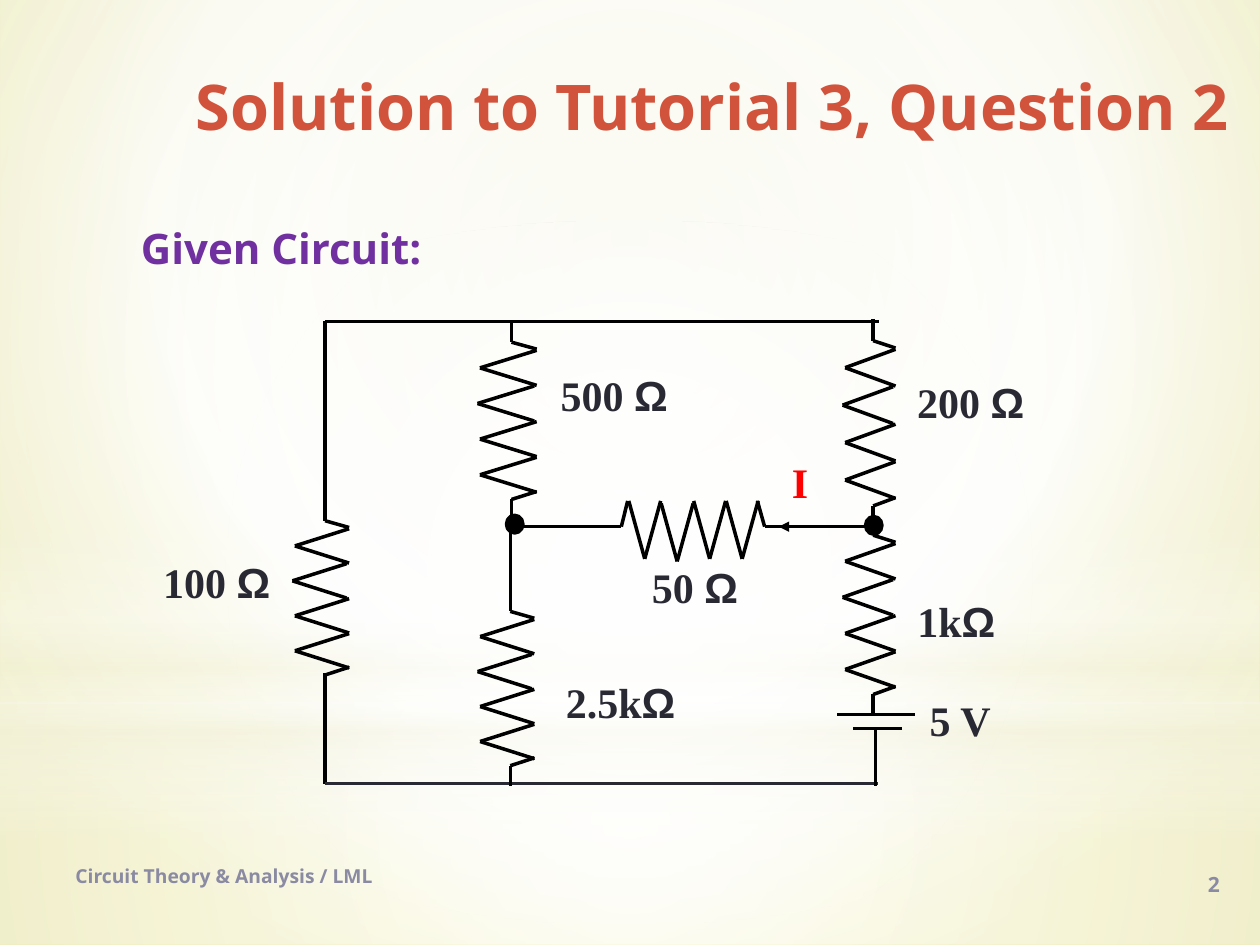
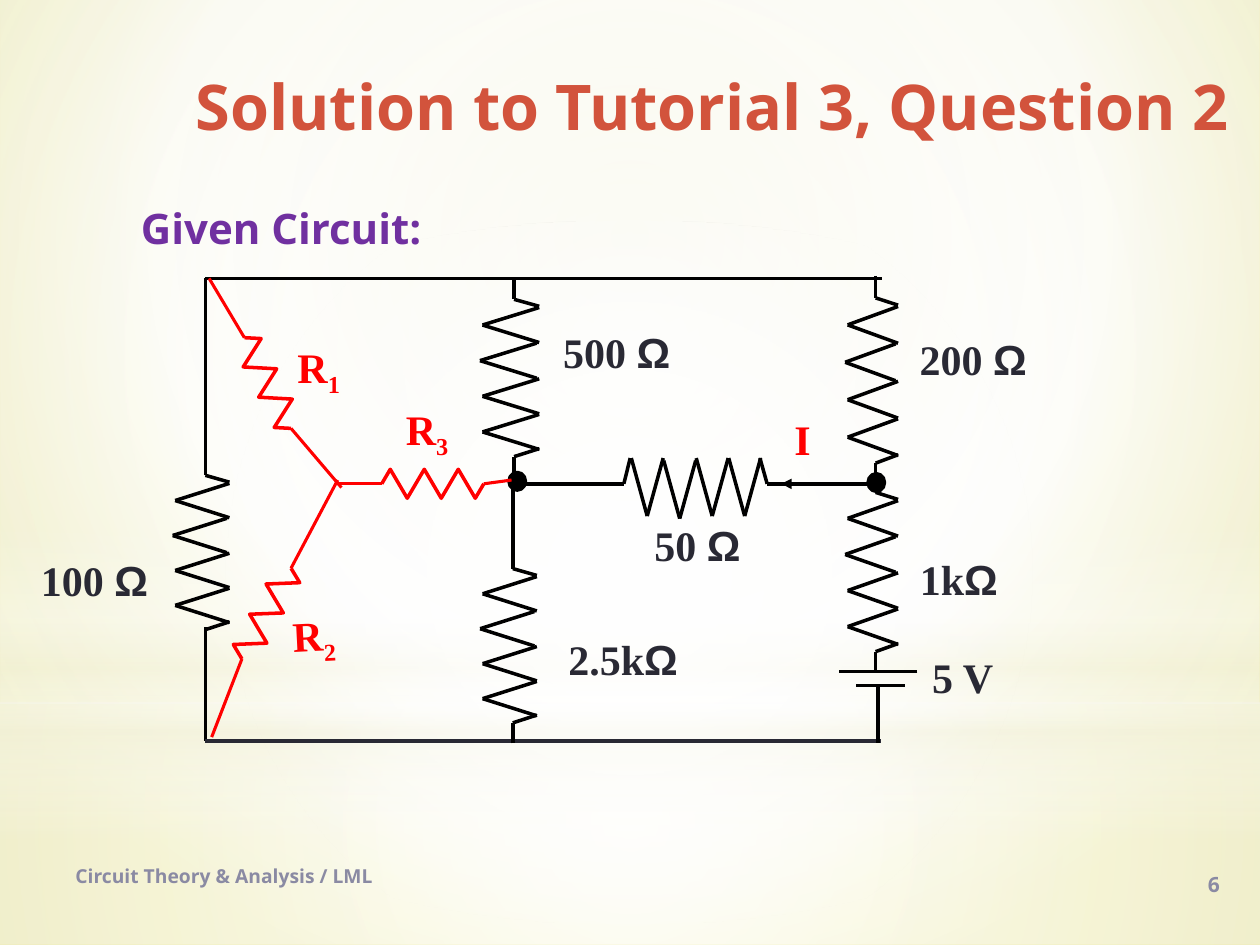
from dataclasses import dataclass
from math import hypot

from pptx import Presentation
from pptx.dml.color import RGBColor
from pptx.enum.shapes import MSO_CONNECTOR, MSO_SHAPE
from pptx.enum.text import MSO_ANCHOR, PP_ALIGN
from pptx.oxml import parse_xml
from pptx.oxml.ns import nsdecls, qn
from pptx.slide import Slide
from pptx.util import Inches, Pt

BLACK = RGBColor(0x00, 0x00, 0x00)
RED = RGBColor(0xFF, 0x00, 0x00)
INK = RGBColor(0x29, 0x29, 0x34)
TITLE_RED = RGBColor(0xD2, 0x53, 0x3C)
PURPLE = RGBColor(0x70, 0x30, 0xA0)
GREY = RGBColor(0x8A, 0x8A, 0xA3)
WHITE = RGBColor(0xFF, 0xFF, 0xFF)
CREAM = RGBColor(0xF3, 0xF2, 0xDC)
PALE_YELLOW = RGBColor(0xEF, 0xED, 0xCC)
YELLOW = RGBColor(0xE9, 0xE5, 0x8A)

HEADING_FONT, LABEL_FONT, OMEGA_FONT = "Open Sans", "Times New Roman", "Arial"
CENTRE = (50, 50, 50, 50)

# Gradient stops are (position %, colour, opacity %).
BACKDROP_STOPS = [(0, PALE_YELLOW, 100), (60, WHITE, 100), (100, YELLOW, 100)]
GLOWS = [
    (MSO_SHAPE.RECTANGLE, (0, 5.58, 10, 1.92), CENTRE,
     [(0, WHITE, 91), (37, WHITE, 76), (100, CREAM, 79)]),
    (MSO_SHAPE.RECTANGLE, (0, 0, 10, 5.58), CENTRE,
     [(0, WHITE, 89), (48, WHITE, 62), (100, CREAM, 79)]),
    (MSO_SHAPE.RECTANGLE, (0, 4.17, 10, 2.5), None,
     [(0, WHITE, 0), (29, WHITE, 30), (45, CREAM, 40), (55, WHITE, 26),
      (65, CREAM, 60), (100, WHITE, 0)]),
    (MSO_SHAPE.OVAL, (0, 1.75, 10, 5.58), CENTRE,
     [(0, WHITE, 100), (56, WHITE, 0)]),
]


def set_gradient(properties, stops, focus):
    """Replace a solid fill by a radial gradient, or a vertical one without focus."""
    stop_xml = "".join(
        f'<a:gs pos="{position * 1000}"><a:srgbClr val="{color}">'
        f'<a:alpha val="{opacity * 1000}"/></a:srgbClr></a:gs>'
        for position, color, opacity in stops)
    if focus:
        sides = " ".join(f'{side}="{value * 1000}"' for side, value in zip("ltrb", focus))
        direction = f'<a:path path="circle"><a:fillToRect {sides}/></a:path>'
    else:
        direction = '<a:lin ang="5400000" scaled="0"/>'
    gradient = parse_xml(f'<a:gradFill {nsdecls("a")} rotWithShape="1">'
                         f'<a:gsLst>{stop_xml}</a:gsLst>{direction}</a:gradFill>')
    properties.replace(properties.find(qn("a:solidFill")), gradient)


def add_text(slide, box, runs, size, color, align=PP_ALIGN.LEFT,
             anchor=MSO_ANCHOR.TOP, margins=True, rotation=0):
    """Add one line of bold text from (text, font, baseline %) runs."""
    shape = slide.shapes.add_textbox(*map(Inches, box))
    shape.rotation = rotation
    frame = shape.text_frame
    frame.word_wrap = True
    frame.vertical_anchor = anchor
    if not margins:
        frame.margin_left = frame.margin_right = frame.margin_top = frame.margin_bottom = 0
    paragraph = frame.paragraphs[0]
    paragraph.alignment = align
    for text, font_name, baseline in runs:
        run = paragraph.add_run()
        run.text = text
        run.font.name = font_name
        run.font.size = Pt(size)
        run.font.bold = True
        run.font.color.rgb = color
        if baseline:
            run.font._element.set("baseline", str(baseline * 1000))


def add_heading(slide, box, text, size, color, **options):
    add_text(slide, box, [(text, HEADING_FONT, 0)], size, color, **options)


def add_base_slide(presentation, number, subtitle_top):
    slide = presentation.slides.add_slide(presentation.slide_layouts[6])
    slide.background.fill.solid()
    set_gradient(slide.element.find(".//" + qn("p:bgPr")), BACKDROP_STOPS, (20, 10, 20, 60))
    for kind, box, focus, stops in GLOWS:
        shape = slide.shapes.add_shape(kind, *map(Inches, box))
        shape.shadow.inherit = False
        shape.line.fill.background()
        shape.fill.solid()
        set_gradient(shape.element.spPr, stops, focus)
    add_heading(slide, (1.35, 0.49, 8.5, 0.92), "Solution to Tutorial 3, Question 2",
                36, TITLE_RED, align=PP_ALIGN.RIGHT)
    add_heading(slide, (1.02, subtitle_top, 2.72, 0.5), "Given Circuit:", 24, PURPLE)
    add_heading(slide, (0.5, 6.75, 3.67, 0.4), "Circuit Theory & Analysis / LML",
                11, GREY, anchor=MSO_ANCHOR.MIDDLE)
    add_heading(slide, (7.78, 6.82, 2, 0.4), str(number), 12, GREY,
                align=PP_ALIGN.RIGHT, anchor=MSO_ANCHOR.MIDDLE)
    return slide


@dataclass
class Board:
    """A slide on which a circuit is drawn, moved by dx and dy inches."""
    slide: Slide
    dx: float = 0
    dy: float = 0

    def place(self, x, y):
        return Inches(x + self.dx), Inches(y + self.dy)

    def wire(self, start, end, color=BLACK, width=2, arrow=False):
        connector = self.slide.shapes.add_connector(
            MSO_CONNECTOR.STRAIGHT, *self.place(*start), *self.place(*end))
        connector.line.color.rgb = color
        connector.line.width = Pt(width)
        if arrow:
            connector.line._get_or_add_ln().append(
                parse_xml(f'<a:tailEnd {nsdecls("a")} type="triangle"/>'))
        connector.element.spPr.append(parse_xml(f'<a:effectLst {nsdecls("a")}/>'))

    def label(self, box, text, color=INK, subscript="", rotation=0):
        left, top, width, height = box
        runs = [(text.rstrip("Ω"), LABEL_FONT, 0)]
        if text.endswith("Ω"):
            runs.append(("Ω", OMEGA_FONT, 0))
        if subscript:
            runs.append((subscript, LABEL_FONT, -25))
        add_text(self.slide, (left + self.dx, top + self.dy, width, height), runs, 24,
                 color, align=PP_ALIGN.CENTER, margins=False, rotation=rotation)

    def node(self, left, top):
        dot = self.slide.shapes.add_shape(
            MSO_SHAPE.OVAL, *self.place(left, top), Inches(0.13), Inches(0.14))
        dot.shadow.inherit = False
        dot.fill.solid()
        dot.fill.fore_color.rgb = BLACK
        dot.line.color.rgb = BLACK
        dot.line.width = Pt(2)

    def resistor(self, axis, start, end, width, horizontal=False):
        """Draw two leads and four teeth, all in proportion to the length."""
        length = end - start
        low, high = -0.556 * width, 0.444 * width

        def point(fraction, across):
            along = start + fraction * length
            return (along, axis - across) if horizontal else (axis + across, along)

        for outer, inner, peak in ((0, 0.105, 0.14), (1, 0.895, 0.855)):
            self.wire(point(outer, 0), point(inner, 0))
            self.wire(point(inner, 0), point(peak, high))
        for tooth, shift in enumerate((0, -0.02, 0, 0)):
            middle = 0.234 + 0.179 * tooth
            for side in (-0.088, 0.088):
                self.wire(point(middle, low + shift), point(middle + side, high + shift))

    def red_resistor(self, start, end):
        """Draw a zigzag with six peaks between any two points."""
        run_x, run_y = end[0] - start[0], end[1] - start[1]
        length = hypot(run_x, run_y)
        points = []
        for peak in range(6):
            along = (1 + 2 * peak) / 12
            across = 0.115 / length * (-1) ** peak
            points.append((start[0] + along * run_x + across * run_y,
                           start[1] + along * run_y - across * run_x))
        builder = self.slide.shapes.build_freeform(*self.place(*start))
        builder.add_line_segments([self.place(*p) for p in points + [end]], close=False)
        zigzag = builder.convert_to_shape()
        zigzag.shadow.inherit = False
        zigzag.fill.background()
        zigzag.line.color.rgb = RED
        zigzag.line.width = Pt(2)

    def red_branch(self, lead_start, start, end, lead_end):
        self.wire(lead_start, start, RED, 1.75)
        self.red_resistor(start, end)
        self.wire(end, lead_end, RED, 1.75)


def draw_bridge(board, left_x, left_top, left_label):
    """Draw the circuit; only the place of its 100 Ω branch varies."""
    board.wire((left_x, 2.55), (6.98, 2.55))
    board.wire((left_x, 2.55), (left_x, left_top + 0.1))
    board.resistor(left_x, left_top, left_top + 1.55, 0.43)
    board.wire((left_x, left_top + 1.37), (left_x, 6.22))
    board.wire((left_x, 6.22), (6.97, 6.22), INK)

    board.resistor(4.06, 2.55, 4.13, 0.45)
    board.wire((4.05, 4.15), (4.05, 4.79))
    board.resistor(4.05, 4.69, 6.24, 0.43)

    board.wire((4.07, 4.18), (4.89, 4.18))
    board.resistor(4.18, 4.78, 6.22, 0.46, horizontal=True)
    board.wire((6.13, 4.18), (6.95, 4.18))
    board.wire((6.82, 4.18), (6.18, 4.18), arrow=True)

    board.resistor(6.93, 2.53, 4.19, 0.4)
    board.resistor(6.93, 4.08, 5.68, 0.4)
    board.wire((7.26, 5.67), (6.64, 5.67))
    board.wire((7.16, 5.78), (6.77, 5.78))
    board.wire((6.95, 5.79), (6.95, 6.24))

    board.node(4.02, 4.09)
    board.node(6.87, 4.1)

    board.label((*left_label, 1.24, 0.52), "100 Ω")
    board.label((4.26, 2.93, 1.23, 0.54), "500 Ω")
    board.label((4.28, 5.37, 1.29, 0.54), "2.5kΩ")
    board.label((5, 4.46, 1.03, 0.54), "50 Ω")
    board.label((7.09, 2.99, 1.23, 0.54), "200 Ω")
    board.label((7.14, 4.73, 0.9, 0.54), "1kΩ")
    board.label((7.24, 5.51, 0.76, 0.54), "5 V")
    board.label((6.18, 3.62, 0.34, 0.52), "I", RED)


def draw_star(board):
    """Draw the equivalent star of R1, R2 and R3."""
    board.red_branch((1.66, 2.21), (1.94, 2.68), (2.31, 3.4), (2.71, 3.87))
    board.red_branch((2.68, 3.81), (2.31, 4.51), (1.92, 5.23), (1.68, 5.85))
    board.red_branch((2.69, 3.84), (3.03, 3.84), (3.84, 3.84), (4.06, 3.81))
    board.label((2.08, 2.71, 0.9, 0.37), "R", RED, "1")
    board.label((2.04, 4.84, 0.9, 0.37), "R", RED, "2", rotation=357.1)
    board.label((2.94, 3.2, 0.9, 0.37), "R", RED, "3")


def main():
    presentation = Presentation()
    presentation.slide_width, presentation.slide_height = Inches(10), Inches(7.5)

    slide = add_base_slide(presentation, 2, 1.72)
    draw_bridge(Board(slide), 2.58, 3.97, (1.1, 4.42))

    slide = add_base_slide(presentation, 6, 1.56)
    draw_bridge(Board(slide, 0.02, -0.34), 1.61, 3.95, (0.11, 4.74))
    draw_star(Board(slide))

    presentation.save("out.pptx")


if __name__ == "__main__":
    main()
